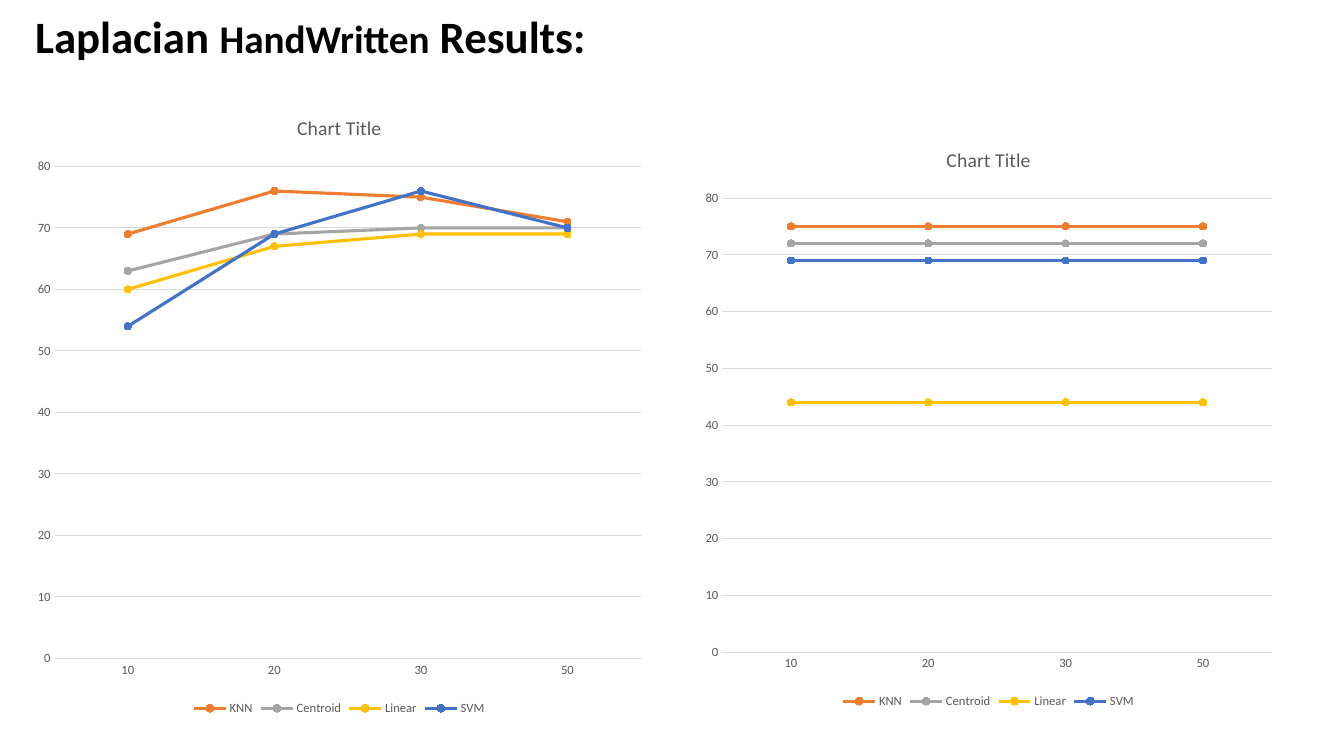
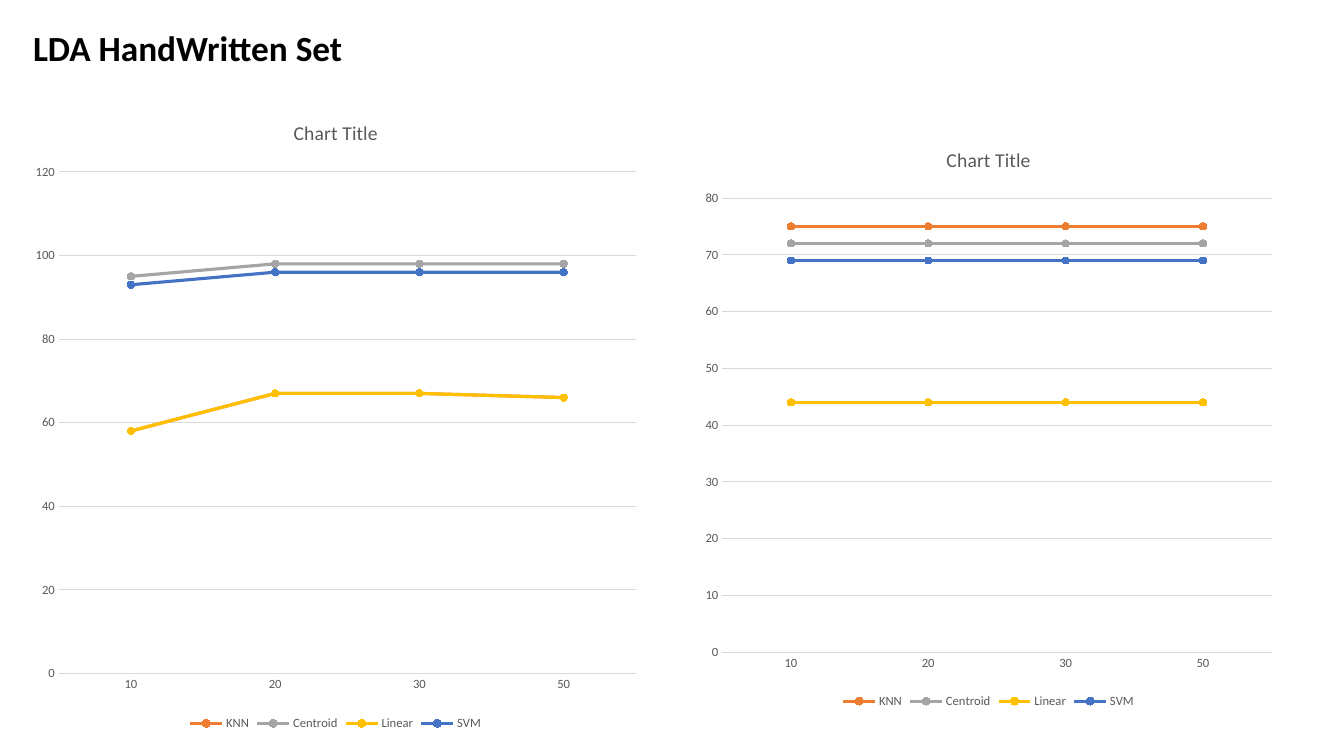
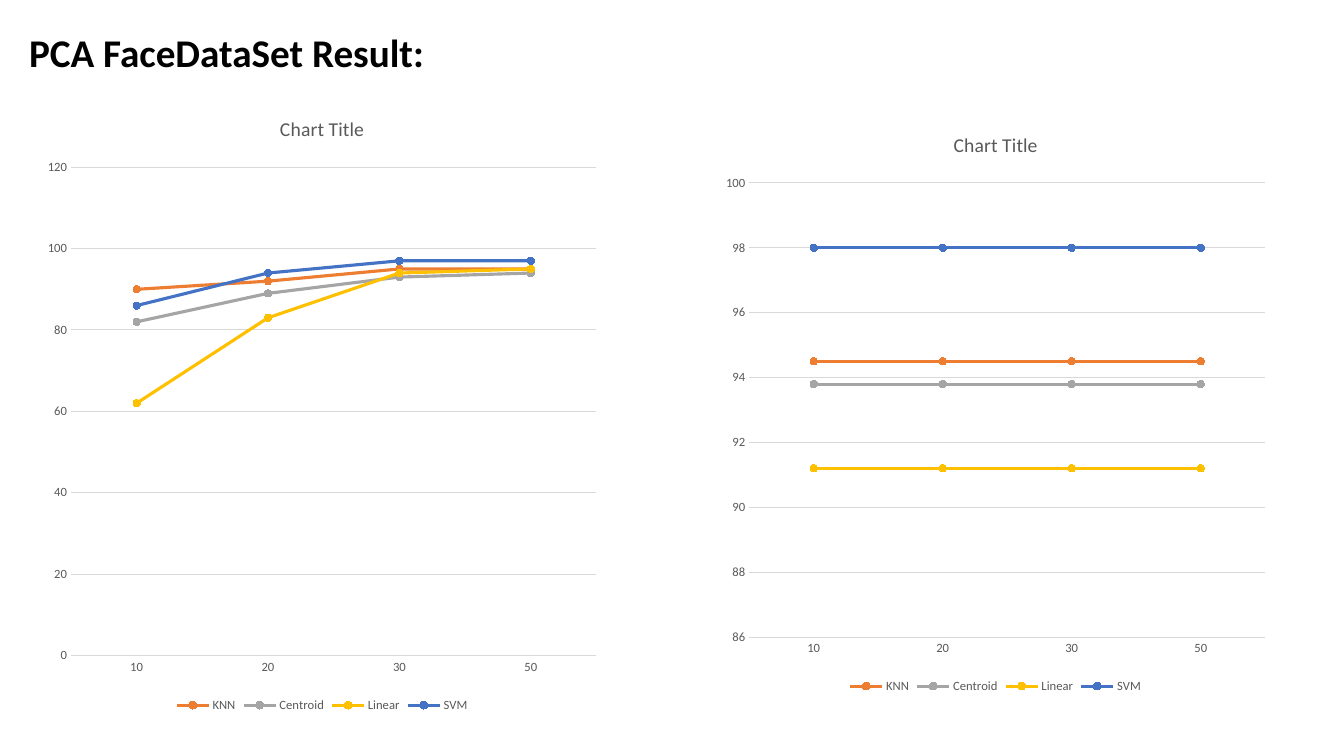
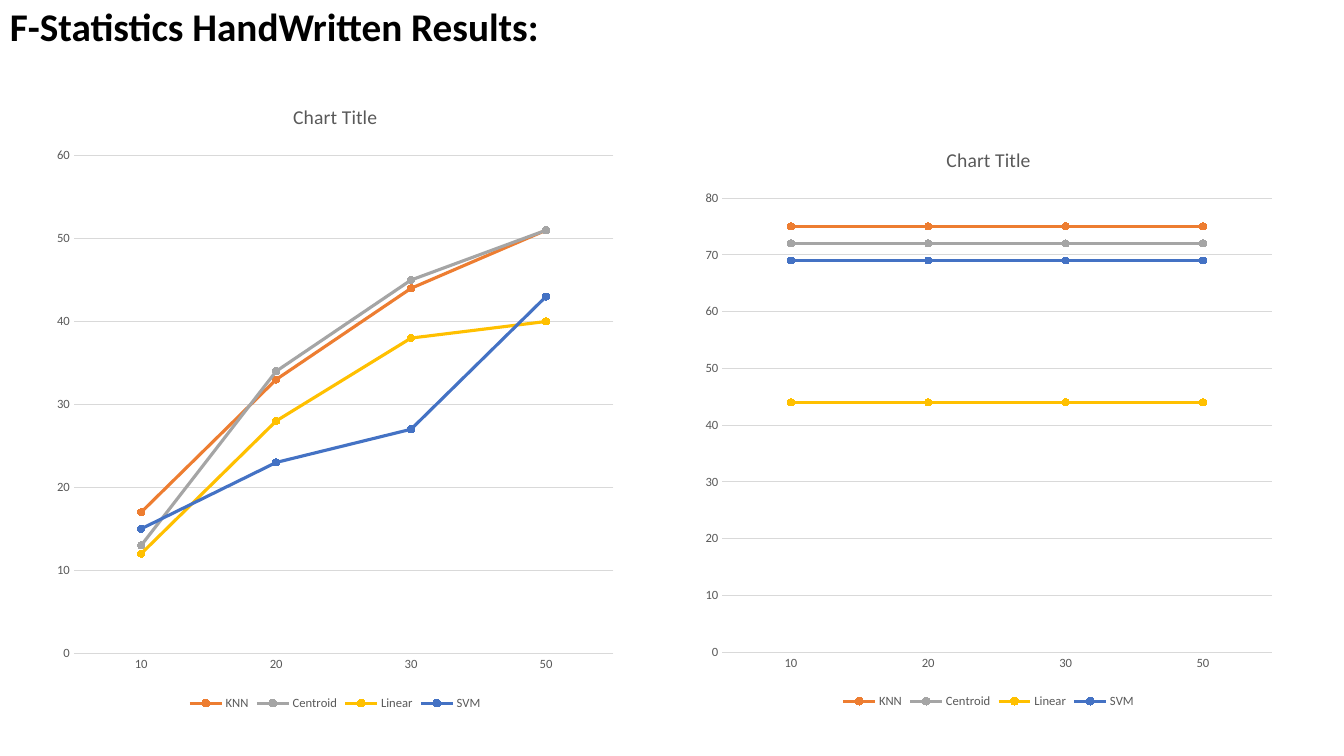
from pptx import Presentation
from pptx.chart.data import CategoryChartData
from pptx.dml.color import RGBColor
from pptx.enum.chart import XL_CHART_TYPE, XL_LEGEND_POSITION, XL_MARKER_STYLE, XL_TICK_MARK
from pptx.enum.text import MSO_ANCHOR
from pptx.util import Inches, Pt

# Content: one list of values per series, one value per category
CATEGORIES = ["10", "20", "30", "50"]
SERIES_NAMES = ["KNN", "Centroid", "Linear", "SVM"]
CHART_TITLE = "Chart Title"

# Right charts: each series is a level line
HANDWRITTEN_LEVELS = {
    "at": (6.88, 1.25, 5.85, 5.82),
    "scale": (0, 80, 10),
    "values": [[level] * len(CATEGORIES) for level in (75, 72, 44, 69)],
}
PCA_LEVELS = {
    "at": (7.09, 1.1, 5.57, 5.82),
    "scale": (86, 100, 2),
    "values": [[level] * len(CATEGORIES) for level in (94.5, 93.8, 91.2, 98)],
}

SLIDES = [
    {
        "title": [("Laplacian ", 32), ("HandWritten", 28), (" Results:", 32)],
        "title_at": (0.25, -0.15, 11.5, 1.07),
        "charts": [
            {
                "at": (0.25, 0.92, 6.23, 6.22),
                "scale": (0, 80, 10),
                "values": [[69, 76, 75, 71], [63, 69, 70, 70],
                           [60, 67, 69, 69], [54, 69, 76, 70]],
            },
            HANDWRITTEN_LEVELS,
        ],
    },
    {
        "title": [("LDA HandWritten Set", 25.2)],
        "title_at": (0.23, 0.24, 11.5, 0.51),
        "charts": [
            {
                "at": (0.23, 0.97, 6.2, 6.32),
                "scale": (0, 120, 20),
                "values": [[58, 67, 67, 66], [95, 98, 98, 98],
                           [58, 67, 67, 66], [93, 96, 96, 96]],
            },
            HANDWRITTEN_LEVELS,
        ],
    },
    {
        "title": [("PCA FaceDataSet Result:", 28)],
        "title_at": (0.19, 0.15, 11.5, 0.78),
        "charts": [
            {
                "at": (0.36, 0.93, 5.67, 6.18),
                "scale": (0, 120, 20),
                "values": [[90, 92, 95, 95], [82, 89, 93, 94],
                           [62, 83, 94, 95], [86, 94, 97, 97]],
            },
            PCA_LEVELS,
        ],
    },
    {
        "title": [("F-Statistics HandWritten Results:", 28)],
        "title_at": (0, 0, 11.5, 0.58),
        "charts": [
            {
                "at": (0.45, 0.81, 5.75, 6.28),
                "scale": (0, 60, 10),
                "values": [[17, 33, 44, 51], [13, 34, 45, 51],
                           [12, 28, 38, 40], [15, 23, 27, 43]],
            },
            HANDWRITTEN_LEVELS,
        ],
    },
]


# Theme
class Theme:
    font = "Calibri"
    title = RGBColor.from_string("000000")
    label = RGBColor.from_string("595959")
    grid = RGBColor.from_string("D9D9D9")
    series = [RGBColor.from_string(code)
              for code in ("ED7D31", "A5A5A5", "FFC000", "4472C4")]
    chart_title_size = Pt(14)
    chart_size = Pt(10)
    label_size = Pt(9)
    grid_width = Pt(0.75)
    series_width = Pt(2.25)
    marker_size = 5


LABEL_FORMAT = {"name": Theme.font, "size": Theme.label_size, "bold": False}
CHART_TITLE_FORMAT = {**LABEL_FORMAT, "size": Theme.chart_title_size}


def set_values(target, values):
    for name, value in values.items():
        setattr(target, name, value)


def style_font(font, values, color):
    set_values(font, values)
    font.color.rgb = color


def style_line(line, color, width):
    line.color.rgb = color
    line.width = width


# Title: one line of runs, each with its own size
def add_title(slide, runs, place):
    box = slide.shapes.add_textbox(*map(Inches, place))
    frame = box.text_frame
    set_values(frame, {"word_wrap": True, "vertical_anchor": MSO_ANCHOR.MIDDLE})
    para = frame.paragraphs[0]
    para.line_spacing = 0.9
    for text, size in runs:
        span = para.add_run()
        span.text = text
        style_font(span.font, {"name": Theme.font, "size": Pt(size), "bold": True},
                   Theme.title)


# Axes: no ticks, light gridlines, fixed scale
def style_axes(chart, scale):
    low, high, step = scale
    for axis in (chart.category_axis, chart.value_axis):
        set_values(axis, {"major_tick_mark": XL_TICK_MARK.NONE,
                          "minor_tick_mark": XL_TICK_MARK.NONE})
        style_font(axis.tick_labels.font, LABEL_FORMAT, Theme.label)
    style_line(chart.category_axis.format.line, Theme.grid, Theme.grid_width)
    value_axis = chart.value_axis
    set_values(value_axis, {"minimum_scale": low, "maximum_scale": high,
                            "major_unit": step, "has_major_gridlines": True})
    value_axis.format.line.fill.background()
    style_line(value_axis.major_gridlines.format.line, Theme.grid, Theme.grid_width)


# Line chart with title above and legend below
def add_line_chart(slide, content):
    data = CategoryChartData()
    data.categories = CATEGORIES
    for name, values in zip(SERIES_NAMES, content["values"]):
        data.add_series(name, values)
    chart = slide.shapes.add_chart(
        XL_CHART_TYPE.LINE_MARKERS, *map(Inches, content["at"]), data).chart
    style_font(chart.font, {"name": Theme.font, "size": Theme.chart_size}, Theme.title)

    set_values(chart, {"has_title": True, "has_legend": True})
    frame = chart.chart_title.text_frame
    frame.text = CHART_TITLE
    style_font(frame.paragraphs[0].runs[0].font, CHART_TITLE_FORMAT, Theme.label)
    set_values(chart.legend, {"position": XL_LEGEND_POSITION.BOTTOM,
                              "include_in_layout": False})
    style_font(chart.legend.font, LABEL_FORMAT, Theme.label)
    style_axes(chart, content["scale"])

    plot = chart.plots[0]
    plot.vary_by_categories = False
    for series, color in zip(plot.series, Theme.series):
        series.smooth = False
        style_line(series.format.line, color, Theme.series_width)
        marker = series.marker
        set_values(marker, {"style": XL_MARKER_STYLE.CIRCLE, "size": Theme.marker_size})
        marker.format.fill.solid()
        marker.format.fill.fore_color.rgb = color
        style_line(marker.format.line, color, Theme.grid_width)


# Build the deck
deck = Presentation()
set_values(deck, {"slide_width": Inches(13.33), "slide_height": Inches(7.5)})
for page in SLIDES:
    slide = deck.slides.add_slide(deck.slide_layouts[6])
    add_title(slide, page["title"], page["title_at"])
    for content in page["charts"]:
        add_line_chart(slide, content)
deck.save("out.pptx")
